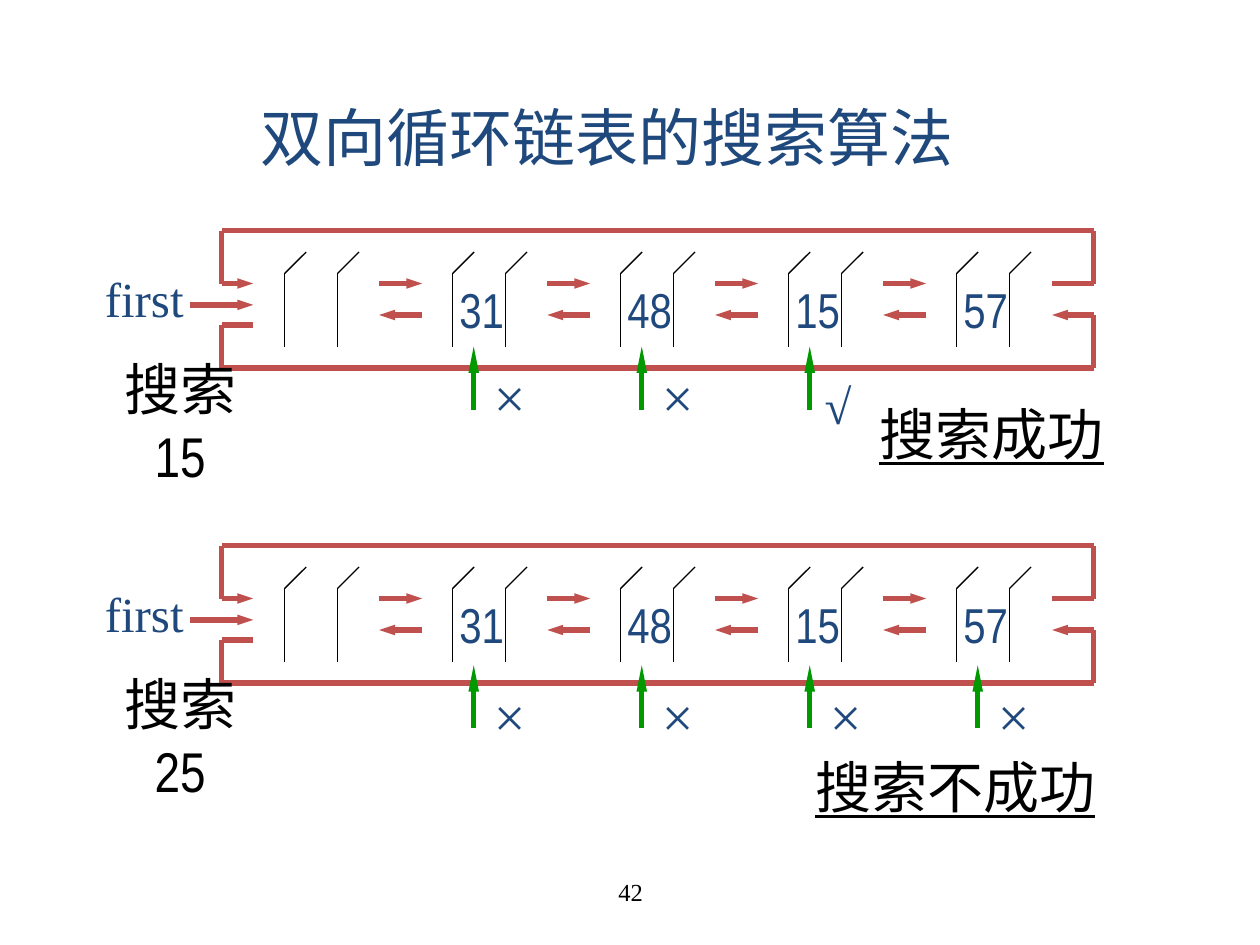
from dataclasses import dataclass

from lxml import etree
from pptx import Presentation
from pptx.dml.color import RGBColor
from pptx.enum.shapes import MSO_CONNECTOR
from pptx.enum.text import MSO_ANCHOR, PP_ALIGN
from pptx.oxml.ns import qn
from pptx.util import Inches, Pt

STRAIGHT = MSO_CONNECTOR.STRAIGHT
TOP, MIDDLE = MSO_ANCHOR.TOP, MSO_ANCHOR.MIDDLE
LEFT, CENTER = PP_ALIGN.LEFT, PP_ALIGN.CENTER


@dataclass(frozen=True)
class Theme:
    black: str = "000000"
    blue: str = "1F497D"
    red: str = "C0504D"
    green: str = "009900"
    serif: str = "Times New Roman"
    narrow: str = "Arial Narrow"
    title_size: int = 36
    large_size: int = 32
    label_size: int = 28
    number_size: int = 14
    thin: float = 0.75
    thick: float = 3


class SlideBuilder:
    def __init__(self, slide, theme):
        self.slide = slide
        self.theme = theme

    def text(self, text, left, top, width, height, size, color, font,
             align=CENTER, anchor=MIDDLE, wrap=False, margins=(0.1, 0.05),
             underline=None):
        shape = self.slide.shapes.add_textbox(
            Inches(left), Inches(top), Inches(width), Inches(height))
        frame = shape.text_frame
        frame.word_wrap = wrap
        frame.vertical_anchor = anchor
        frame.margin_left = frame.margin_right = Inches(margins[0])
        frame.margin_top = frame.margin_bottom = Inches(margins[1])
        paragraph = frame.paragraphs[0]
        paragraph.text = text
        paragraph.alignment = align
        paragraph.font.size = Pt(size)
        paragraph.font.name = font
        paragraph.font.color.rgb = RGBColor.from_string(color)
        paragraph.font.underline = underline

    def line(self, x1, y1, x2, y2, color, weight, end=None, length="med"):
        connector = self.slide.shapes.add_connector(
            STRAIGHT, Inches(x1), Inches(y1), Inches(x2), Inches(y2))
        connector.line.color.rgb = RGBColor.from_string(color)
        connector.line.width = Pt(weight)
        if end:
            etree.SubElement(connector.line._get_or_add_ln(), qn(f"a:{end}"),
                             type="triangle", w="sm", len=length)
        etree.SubElement(connector._element.spPr, qn("a:effectLst"))

    def link(self, x1, y1, x2, y2, end=None):
        self.line(x1, y1, x2, y2, self.theme.red, self.theme.thick, end)

    def node(self, left, top, value):
        theme = self.theme
        for x in (left, left + 0.42):
            self.line(x, top + 0.34, x, top + 0.92, theme.black, theme.thin)
            self.line(x, top + 0.34, x + 0.17, top + 0.17, theme.black, theme.thin)
        if value:
            self.text(value, left - 0.05, top + 0.34, 0.56, 0.57,
                      theme.label_size, theme.blue, theme.narrow)

    def circular_links(self, top):
        left, right, bottom = 1.76, 8.68, top + 1.09
        forward, backward, entry = top + 0.42, top + 0.67, top + 0.75
        self.link(right, top, left, top)
        self.link(left, top, left, forward)
        self.link(left, forward, left + 0.25, forward, "tailEnd")
        self.link(right, top, right, forward)
        self.link(right - 0.33, forward, right, forward)
        self.link(right, bottom, left, bottom)
        self.link(left, entry, left, bottom)
        self.link(left, entry, left + 0.25, entry)
        self.link(right, backward, right, bottom)
        self.link(right - 0.33, backward, right, backward, "headEnd")

    def linked_list(self, top, values, pitch):
        theme = self.theme
        self.circular_links(top)
        for index, value in enumerate(values):
            left = 2.26 + index * pitch
            self.node(left, top, value)
            if index < len(values) - 1:
                self.link(left + 0.75, top + 0.42, left + 1.09, top + 0.42, "tailEnd")
                self.link(left + 0.75, top + 0.67, left + 1.09, top + 0.67, "headEnd")
        self.link(1.51, top + 0.59, 2.01, top + 0.59, "tailEnd")
        self.text("first", 0.7, top + 0.25, 0.89, 0.57,
                  theme.label_size, theme.blue, theme.serif)

    def probe(self, x, tip, mark):
        theme = self.theme
        self.line(x, tip + 0.5, x, tip, theme.green, theme.thick, "tailEnd", "lg")
        if mark == "√":
            self.text(mark, x + 0.02, tip + 0.18, 0.41, 0.57,
                      theme.label_size, theme.blue, theme.serif)
        else:
            self.text(mark, x + 0.06, tip + 0.08, 0.45, 0.63,
                      theme.large_size, theme.blue, theme.serif)

    def search(self, top, target, tip, marks, pitch):
        theme = self.theme
        self.linked_list(top, ("", "31", "48", "15", "57"), pitch)
        self.text(f"搜索{target}", 0.68, top + 1.2, 1.5, 0.63, theme.large_size,
                  theme.black, theme.narrow, wrap=True, margins=(0.22, 0.05))
        for index, mark in enumerate(marks):
            self.probe(3.76 + index * pitch, tip, mark)

    def result(self, text, left, top, width):
        theme = self.theme
        self.text(text, left, top, width, 0.66, theme.large_size, theme.black,
                  theme.serif, align=LEFT, anchor=TOP, margins=(0.12, 0.06),
                  underline=True)


def main():
    presentation = Presentation()
    presentation.slide_width = Inches(10)
    presentation.slide_height = Inches(7.5)
    theme = Theme()
    slide = presentation.slides.add_slide(presentation.slide_layouts[6])
    builder = SlideBuilder(slide, theme)

    builder.text("双向循环链表的搜索算法", 1.56, 0.72, 6.52, 0.73, theme.title_size,
                 theme.blue, theme.serif, anchor=TOP, wrap=True, margins=(0.12, 0.06))
    pitch = 4 / 3
    builder.search(1.83, 15, 2.75, "××√", pitch)
    builder.result("搜索成功", 6.86, 3.11, 2.03)
    builder.search(4.33, 25, 5.28, "××××", pitch)
    builder.result("搜索不成功", 6.35, 5.91, 2.48)
    builder.text("42", 3.42, 6.83, 3.17, 0.5, theme.number_size,
                 theme.black, theme.serif, wrap=True)

    presentation.save("out.pptx")


if __name__ == "__main__":
    main()
